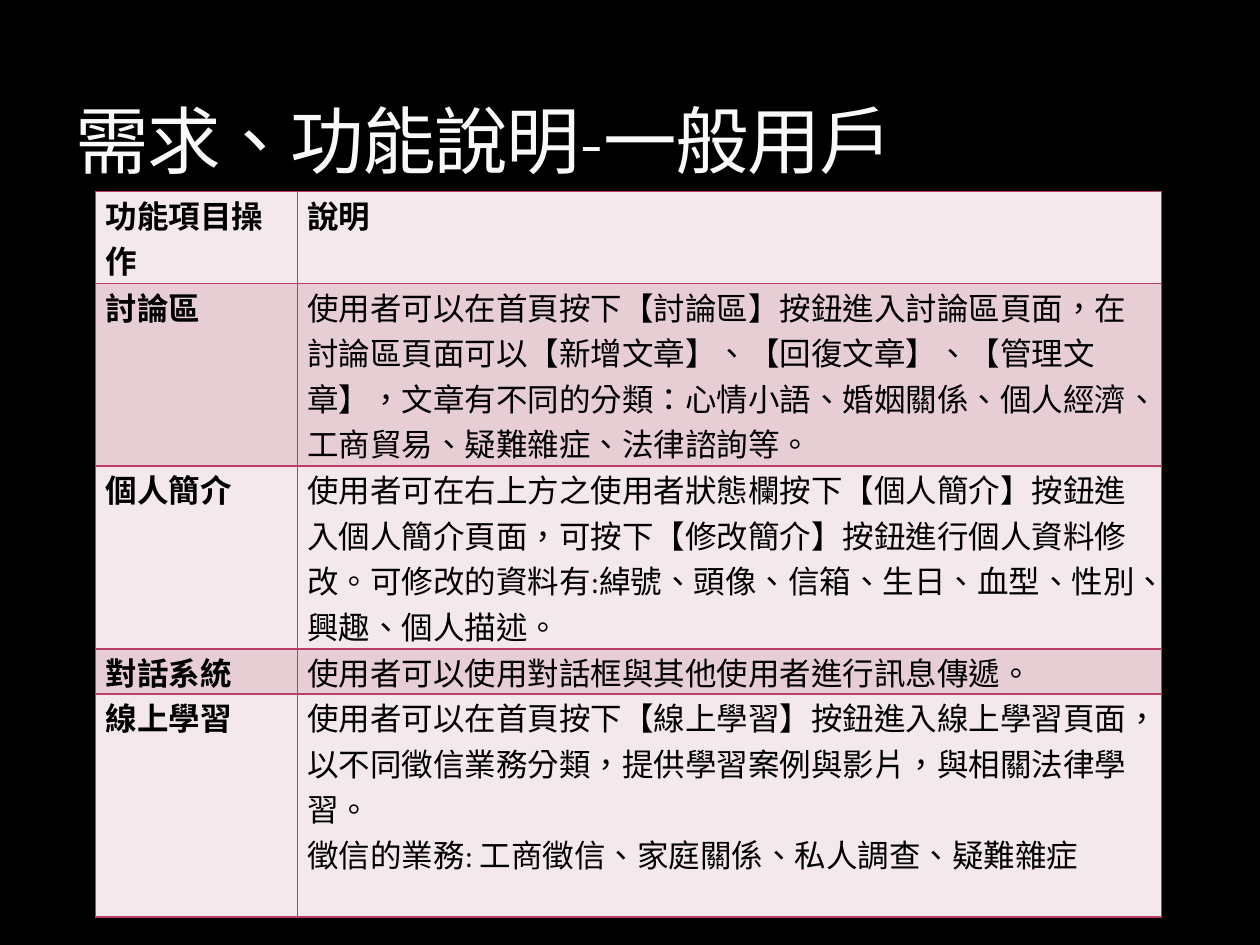
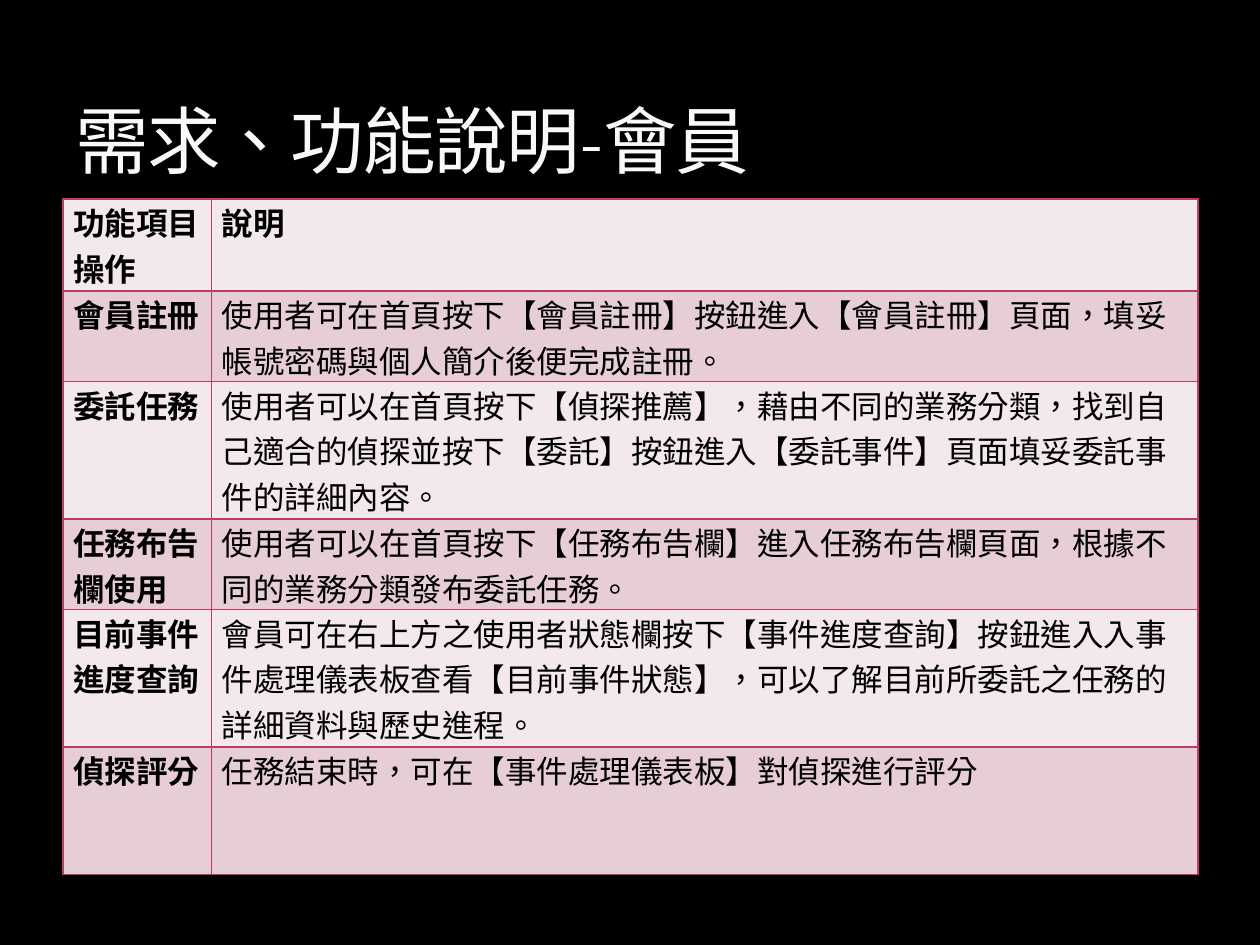
from lxml import etree
from pptx import Presentation
from pptx.dml import color
from pptx.enum import text
from pptx.oxml import ns
from pptx.util import Inches, Pt

FONT = "Cambria"
BLACK = "000000"
TITLE_COLOR = "F9F9F9"
TITLE_OUTLINE = "9C3888"
BORDER = "B83D68"
BANDS = ("F3E8EB", "E6CED4")
TITLE_BOX = (0.5, 0.17, 9, 1.33)
HEADER = ("功能項目操作", "說明")

USER_ROWS = [
    HEADER,
    ("討論區", "使用者可以在首頁按下【討論區】按鈕進入討論區頁面，在討論區頁面可以【新增文章】、【回復文章】、【管理文章】，文章有不同的分類：心情小語、婚姻關係、個人經濟、工商貿易、疑難雜症、法律諮詢等。"),
    ("個人簡介", "使用者可在右上方之使用者狀態欄按下【個人簡介】按鈕進入個人簡介頁面，可按下【修改簡介】按鈕進行個人資料修改。可修改的資料有:綽號、頭像、信箱、生日、血型、性別、興趣、個人描述。"),
    ("對話系統", "使用者可以使用對話框與其他使用者進行訊息傳遞。"),
    ("線上學習", "使用者可以在首頁按下【線上學習】按鈕進入線上學習頁面，以不同徵信業務分類，提供學習案例與影片，與相關法律學習。\n徵信的業務: 工商徵信、家庭關係、私人調查、疑難雜症"),
]
MEMBER_ROWS = [
    HEADER,
    ("會員註冊", "使用者可在首頁按下【會員註冊】按鈕進入【會員註冊】頁面，填妥帳號密碼與個人簡介後便完成註冊。"),
    ("委託任務", "使用者可以在首頁按下【偵探推薦】，藉由不同的業務分類，找到自己適合的偵探並按下【委託】按鈕進入【委託事件】頁面填妥委託事件的詳細內容。"),
    ("任務布告欄使用", "使用者可以在首頁按下【任務布告欄】進入任務布告欄頁面，根據不同的業務分類發布委託任務。"),
    ("目前事件進度查詢", "會員可在右上方之使用者狀態欄按下【事件進度查詢】按鈕進入入事件處理儀表板查看【目前事件狀態】，可以了解目前所委託之任務的詳細資料與歷史進程。"),
    ("偵探評分", "任務結束時，可在【事件處理儀表板】對偵探進行評分"),
]


def rgb(value):
    return color.RGBColor.from_string(value)


def make_line(tag, value, width, alpha=100):
    line = etree.Element(ns.qn(tag), w=str(Pt(width)))
    fill = etree.SubElement(line, ns.qn("a:solidFill"))
    tint = etree.SubElement(fill, ns.qn("a:srgbClr"), val=value)
    if alpha < 100:
        etree.SubElement(tint, ns.qn("a:alpha"), val=str(alpha * 1000))
    return line


def style_para(para, size, value, bold=False):
    font = para.font
    font.name, font.size, font.bold = FONT, Pt(size), bold
    font.color.rgb = rgb(value)
    properties = para._p.pPr.find(ns.qn("a:defRPr"))
    properties.set("lang", "zh-TW")
    return properties


def add_title(page, box, words):
    frame = page.shapes.add_textbox(*map(Inches, box)).text_frame
    frame.word_wrap = True
    frame.vertical_anchor = text.MSO_ANCHOR.BOTTOM
    frame.text = words
    properties = style_para(frame.paragraphs[0], 42, TITLE_COLOR)
    properties.set("spc", "-100")
    properties.insert(0, make_line("a:ln", TITLE_OUTLINE, 0.25, 25))


def fill_cell(cell, words, band, bold):
    cell.margin_left, cell.margin_right = Inches(0.08), Inches(0.07)
    cell.margin_top = cell.margin_bottom = 0
    cell.fill.solid()
    cell.fill.fore_color.rgb = rgb(band)
    cell.text = words
    for para in cell.text_frame.paragraphs:
        style_para(para, 18, BLACK, bold)
    properties = cell._tc.get_or_add_tcPr()
    for index, side in enumerate(("L", "R", "T", "B")):
        properties.insert(index, make_line(f"a:ln{side}", BORDER, 1))


def add_feature_table(page, left, top, widths, heights, rows):
    box = (left, top, sum(widths), sum(heights))
    table = page.shapes.add_table(len(rows), len(widths), *map(Inches, box)).table
    table.first_row = table.horz_banding = False
    for column, width in zip(table.columns, widths):
        column.width = Inches(width)
    for r, (height, row) in enumerate(zip(heights, rows)):
        table.rows[r].height = Inches(height)
        for c, words in enumerate(row):
            fill_cell(table.cell(r, c), words, BANDS[r % 2], r == 0 or c == 0)


def add_feature_page(deck, title, left, top, widths, heights, rows):
    page = deck.slides.add_slide(deck.slide_layouts[6])
    page.background.fill.solid()
    page.background.fill.fore_color.rgb = rgb(BLACK)
    add_title(page, TITLE_BOX, f"需求、功能說明-{title}")
    add_feature_table(page, left, top, widths, heights, rows)


def main():
    deck = Presentation()
    deck.slide_width, deck.slide_height = Inches(10), Inches(7.5)
    add_feature_page(deck, "一般用戶", 0.76, 1.52, (1.6, 6.86),
                     (0.73, 1.45, 1.45, 0.36, 1.77), USER_ROWS)
    add_feature_page(deck, "會員", 0.5, 1.58, (1.18, 7.83),
                     (0.73, 0.72, 1.09, 0.72, 1.09, 1.01), MEMBER_ROWS)
    deck.save("out.pptx")


if __name__ == "__main__":
    main()
